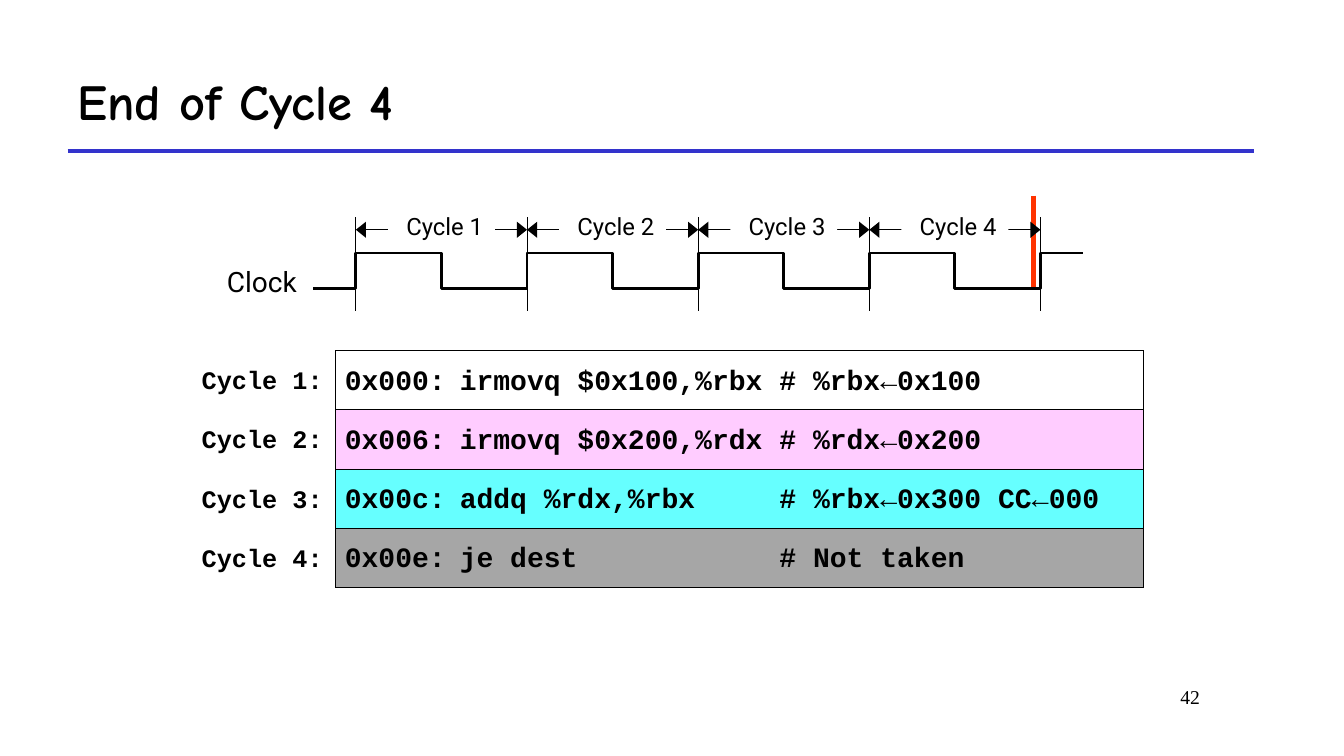
from lxml.etree import SubElement
from pptx import Presentation
from pptx.dml.color import RGBColor
from pptx.enum.shapes import MSO_CONNECTOR, MSO_SHAPE
from pptx.enum.text import MSO_ANCHOR, PP_ALIGN
from pptx.oxml.ns import qn
from pptx.util import Inches, Pt

BLACK = RGBColor(0, 0, 0)
WHITE = RGBColor(255, 255, 255)
PINK = RGBColor(0xFF, 0xCC, 0xFF)
CYAN = RGBColor(0x66, 0xFF, 0xFF)
GRAY = RGBColor(0xA6, 0xA6, 0xA6)
BLUE = RGBColor(0x33, 0x33, 0xCC)
RED = RGBColor(0xFF, 0x33, 0)
CODE, SANS = "Courier New", "Roboto"

TITLE = "End of Cycle 4"
PAGE = "42"
STEPS = [
    ("0x000:", "irmovq $0x100,%rbx", "# %rbx←0x100", WHITE),
    ("0x006:", "irmovq $0x200,%rdx", "# %rdx←0x200", PINK),
    ("0x00c:", "addq %rdx,%rbx", "# %rbx←0x300 CC←000", CYAN),
    ("0x00e:", "je dest", "# Not taken", GRAY),
]

COUNT = len(STEPS)
START, STOP = 3.53, 10.32
PERIOD = (STOP - START) / COUNT
EDGES = [START + PERIOD * n for n in range(COUNT + 1)]
LOW, HIGH = 2.86, 2.51
ARROW = 2.28
TOP, PITCH = 3.48, 2.35 / COUNT
NOTE_TAB = 3.17
HAIR = 0.01


def add_line(slide, x1, y1, x2, y2, color=BLACK, width=HAIR):
    """Draw a straight line without a shadow."""
    line = slide.shapes.add_connector(
        MSO_CONNECTOR.STRAIGHT, Inches(x1), Inches(y1), Inches(x2), Inches(y2))
    line.line.color.rgb = color
    line.line.width = Pt(width)
    SubElement(line._element.spPr, qn("a:effectLst"))


def add_rect(slide, x, y, w, h, fill, edge=None):
    """Draw a filled rectangle with an optional hairline."""
    rect = slide.shapes.add_shape(
        MSO_SHAPE.RECTANGLE, Inches(x), Inches(y), Inches(w), Inches(h))
    rect.shadow.inherit = False
    rect.fill.solid()
    rect.fill.fore_color.rgb = fill
    if edge is None:
        rect.line.fill.background()
    else:
        rect.line.color.rgb = edge
        rect.line.width = Pt(HAIR)


def add_path(slide, points, close):
    """Draw a black outline, filled when closed."""
    spots = [(Inches(x), Inches(y)) for x, y in points]
    form = slide.shapes.build_freeform(*spots[0])
    form.add_line_segments(spots[1:], close=close)
    shape = form.convert_to_shape()
    shape.shadow.inherit = False
    if close:
        shape.fill.solid()
        shape.fill.fore_color.rgb = BLACK
        shape.line.fill.background()
    else:
        shape.fill.background()
        shape.line.color.rgb = BLACK
        shape.line.width = Pt(2)


def set_font(para, face, size, bold):
    """Set the font of a whole paragraph."""
    font = para.font
    font.name, font.size, font.bold = face, Pt(size), bold
    font.color.rgb = BLACK


def add_text(slide, text, x, y, w, h, face, size, bold=False, tab=None):
    """Add one line of text, with its arrows in regular weight."""
    box = slide.shapes.add_textbox(Inches(x), Inches(y), Inches(w), Inches(h))
    frame = box.text_frame
    frame.word_wrap = tab is not None
    frame.margin_left = frame.margin_right = 0
    frame.margin_top = frame.margin_bottom = 0
    para = frame.paragraphs[0]
    para.line_spacing = 0.9
    if tab is not None:
        stops = SubElement(para._p.get_or_add_pPr(), qn("a:tabLst"))
        SubElement(stops, qn("a:tab"), pos=str(Inches(tab)), algn="l")
    for n, part in enumerate(text.split("←")):
        if n:
            arrow = para.add_run()
            arrow.text = "←"
            arrow.font.bold = False
        para.add_run().text = part
    set_font(para, face, size, bold)


def add_title(slide):
    """Fill the title, its rule and the page number."""
    title = slide.shapes.title
    title.left, title.top = Inches(0.67), Inches(0.5)
    title.width, title.height = Inches(11.78), Inches(1)
    title.text_frame.text = TITLE
    title.text_frame.vertical_anchor = MSO_ANCHOR.MIDDLE
    para = title.text_frame.paragraphs[0]
    para.alignment = PP_ALIGN.LEFT
    set_font(para, "Comic Neue", 36, True)
    add_line(slide, 0.67, 1.5, 12.44, 1.5, BLUE, 3)
    page = slide.shapes.add_textbox(
        Inches(10.11), Inches(6.75), Inches(1.89), Inches(0.5))
    page.text_frame.word_wrap = True
    para = page.text_frame.paragraphs[0]
    para.text = PAGE
    para.alignment = PP_ALIGN.RIGHT
    set_font(para, "Times New Roman", 14, False)


def add_steps(slide):
    """Draw one coloured row of code per cycle."""
    for n, (place, code, note, fill) in enumerate(STEPS):
        y = TOP + PITCH * n
        add_rect(slide, 3.33, y, 8.01, PITCH, fill, BLACK)
        add_text(slide, f"Cycle {n + 1}:", 2, y + 0.17, 1.21, 0.28, CODE, 18, True)
        add_text(slide, place, 3.42, y + 0.15, 1.01, 0.3, CODE, 20, True)
        add_text(slide, f"{code}\t{note}", 4.56, y + 0.15, 6.61, 0.3,
                 CODE, 20, True, NOTE_TAB)


def add_clock(slide):
    """Draw the clock wave with its cycle spans."""
    add_line(slide, 10.25, 1.94, 10.25, LOW, RED, 3)
    add_text(slide, "Clock", 2.25, 2.66, 0.7, 0.3, SANS, 20)
    wave = [(START - PERIOD / 4, LOW)]
    for n, x in enumerate(EDGES):
        add_line(slide, x, 3.08, x, 2.16)
        wave += [(x, LOW), (x, HIGH)]
        if n == COUNT:
            break
        end, mid = EDGES[n + 1], x + PERIOD / 2
        wave += [(mid, HIGH), (mid, LOW)]
        add_line(slide, x + 0.09, ARROW, end - 0.09, ARROW)
        for tip, base in ((x, x + 0.1), (end, end - 0.1)):
            add_path(slide, [(tip, ARROW), (base, ARROW - 0.08),
                             (base, ARROW + 0.08)], True)
        add_rect(slide, mid - 0.53, 2.04, 1.06, 0.42, WHITE)
        add_text(slide, f"Cycle {n + 1}", x + 0.5, 2.13, 0.8, 0.26, SANS, 17)
    wave.append((STOP + PERIOD / 4, HIGH))
    add_path(slide, wave, False)


def main():
    """Build the slide and save it."""
    deck = Presentation()
    deck.slide_width, deck.slide_height = Inches(13.33), Inches(7.5)
    slide = deck.slides.add_slide(deck.slide_layouts[5])
    add_title(slide)
    add_steps(slide)
    add_clock(slide)
    deck.save("out.pptx")


if __name__ == "__main__":
    main()
